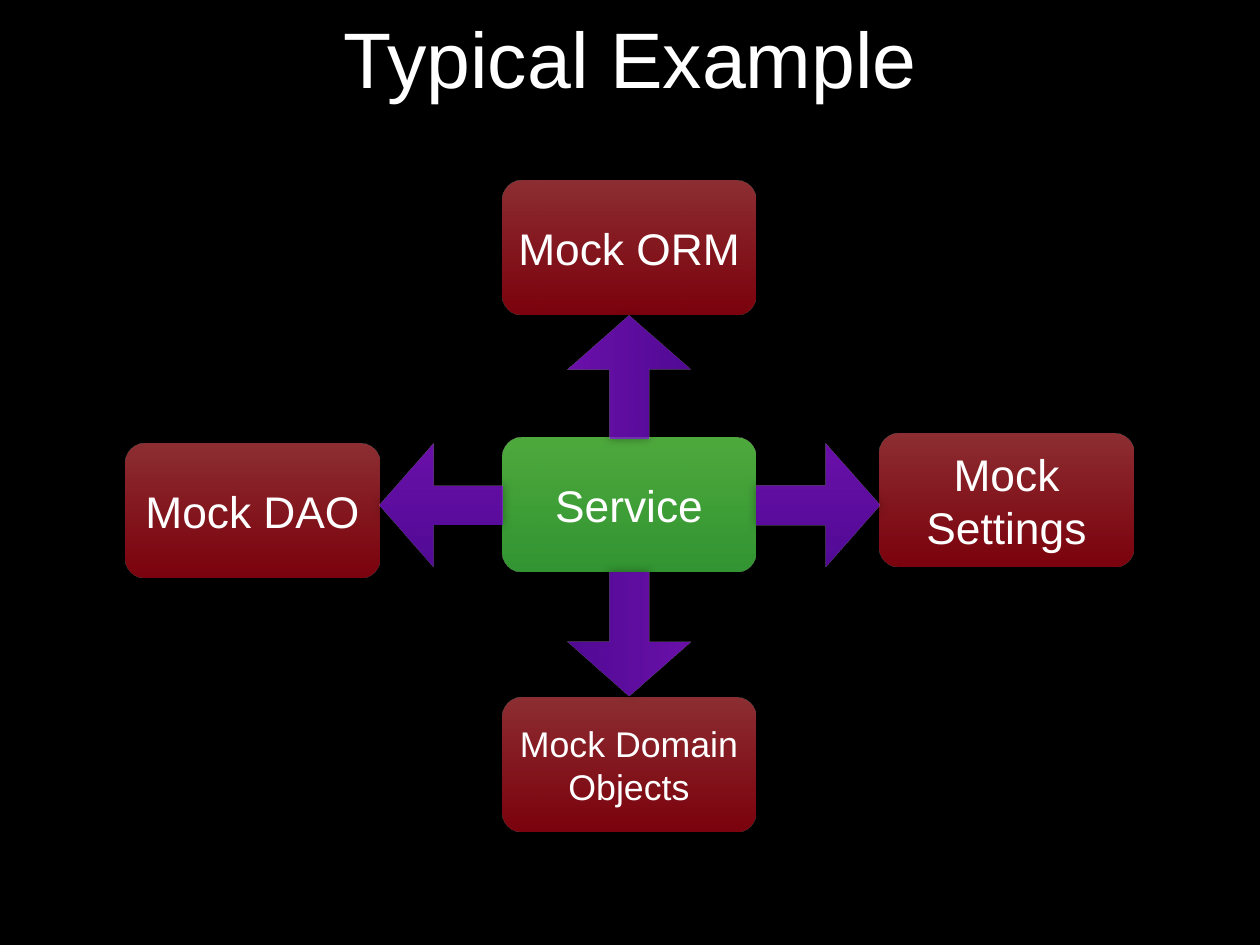
from lxml import etree
from pptx import Presentation, util as u
from pptx.dml.color import RGBColor
from pptx.enum import shapes, text
from pptx.oxml import ns

RED = [("E54C52", 62), ("E5061B", 54)]
GREEN = [("6AE553", 75), ("4FE54E", 65)]
PURPLE = [("8F16E5", 75), ("7F11E5", 65)]
DOWNWARD, RIGHTWARD = 270, 0


def color(value):
    return RGBColor.from_string(value)


def add_child(parent, tag, **attributes):
    return etree.SubElement(parent, ns.qn(tag), attributes)


class Diagram:
    font = {"name": "Arial", "bold": False}
    frame = {
        "word_wrap": True,
        "auto_size": text.MSO_AUTO_SIZE.NONE,
        "vertical_anchor": text.MSO_ANCHOR.MIDDLE,
        "margin_left": 0,
        "margin_right": 0,
        "margin_top": 0,
        "margin_bottom": 0,
    }

    def __init__(self, presentation):
        self.slide = presentation.slides.add_slide(presentation.slide_layouts[5])
        self.slide.background.fill.solid()
        self.slide.background.fill.fore_color.rgb = color("000000")

    def apply(self, target, values):
        for name, value in values.items():
            setattr(target, name, value)

    def label(self, shape, words, size):
        self.apply(shape.text_frame, self.frame)
        paragraph = shape.text_frame.paragraphs[0]
        paragraph.alignment = text.PP_ALIGN.CENTER
        run = paragraph.add_run()
        run.text = words
        self.apply(run.font, {**self.font, "size": u.Pt(size)})
        run.font.color.rgb = color("FFFFFF")

    def title(self, words, left, top, width, height):
        shape = self.slide.shapes.title
        sides = {"left": left, "top": top, "width": width, "height": height}
        self.apply(shape, {name: u.Inches(side) for name, side in sides.items()})
        self.label(shape, words, 64)

    def block(self, kind, left, top, width, height, adjustments, stops, angle):
        shape = self.slide.shapes.add_shape(kind, *map(u.Inches, (left, top, width, height)))
        for index, value in enumerate(adjustments):
            shape.adjustments[index] = value
        shape.fill.gradient()
        shape.fill.gradient_angle = angle
        for stop, (value, opacity) in zip(shape.fill.gradient_stops, stops):
            stop.color.rgb = color(value)
        properties = shape.element.spPr
        for element, (value, opacity) in zip(properties.iter(ns.qn("a:srgbClr")), stops):
            add_child(element, "a:alpha", val=str(opacity * 1000))
        shape.line.fill.background()
        shape.shadow.inherit = False
        effects = properties.find(ns.qn("a:effectLst"))
        shadow = add_child(effects, "a:outerShdw", blurRad=str(u.Pt(8)), dist="0", dir="0", rotWithShape="0")
        black = add_child(shadow, "a:srgbClr", val="000000")
        add_child(black, "a:alpha", val="50000")
        return shape

    def box(self, words, left, top, size=36, stops=RED):
        rounded = shapes.MSO_SHAPE.ROUNDED_RECTANGLE
        shape = self.block(rounded, left, top, 2.86, 1.51, [0.14], stops, DOWNWARD)
        self.label(shape, words, size)

    def arrow(self, kind, left, top, stops, angle):
        self.block(kind, left, top, 1.39, 1.39, [0.32, 0.44], stops, angle)


def main():
    presentation = Presentation()
    presentation.slide_width = u.Inches(14.22)
    presentation.slide_height = u.Inches(10.67)
    diagram = Diagram(presentation)
    diagram.title("Typical Example", 1.39, -0.69, 11.44, 2.67)

    west, center, east = 1.42, 5.67, 9.93
    diagram.box("Service", center, 4.94, stops=GREEN)
    for words, left, top, size in [
        ("Mock DAO", west, 5.01, 36),
        ("Mock ORM", center, 2.04, 36),
        ("Mock Settings", east, 4.89, 36),
        ("Mock Domain Objects", center, 7.88, 29),
    ]:
        diagram.box(words, left, top, size)

    arrows = shapes.MSO_SHAPE
    for kind, left, top, stops, angle in [
        (arrows.RIGHT_ARROW, 8.54, 5.01, PURPLE, DOWNWARD),
        (arrows.LEFT_ARROW, 4.28, 5.01, PURPLE, DOWNWARD),
        (arrows.UP_ARROW, 6.4, 3.56, PURPLE, RIGHTWARD),
        (arrows.DOWN_ARROW, 6.4, 6.46, PURPLE[::-1], RIGHTWARD),
    ]:
        diagram.arrow(kind, left, top, stops, angle)

    presentation.save("out.pptx")


if __name__ == "__main__":
    main()
